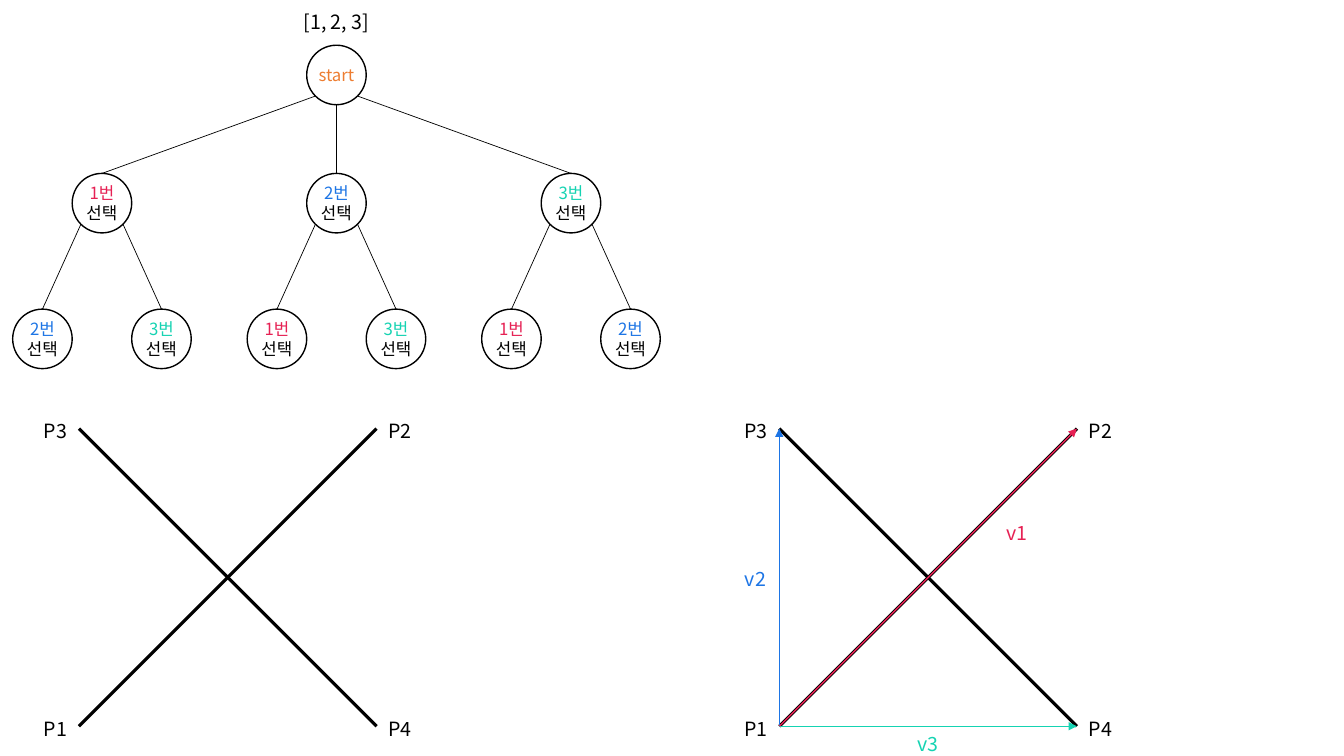
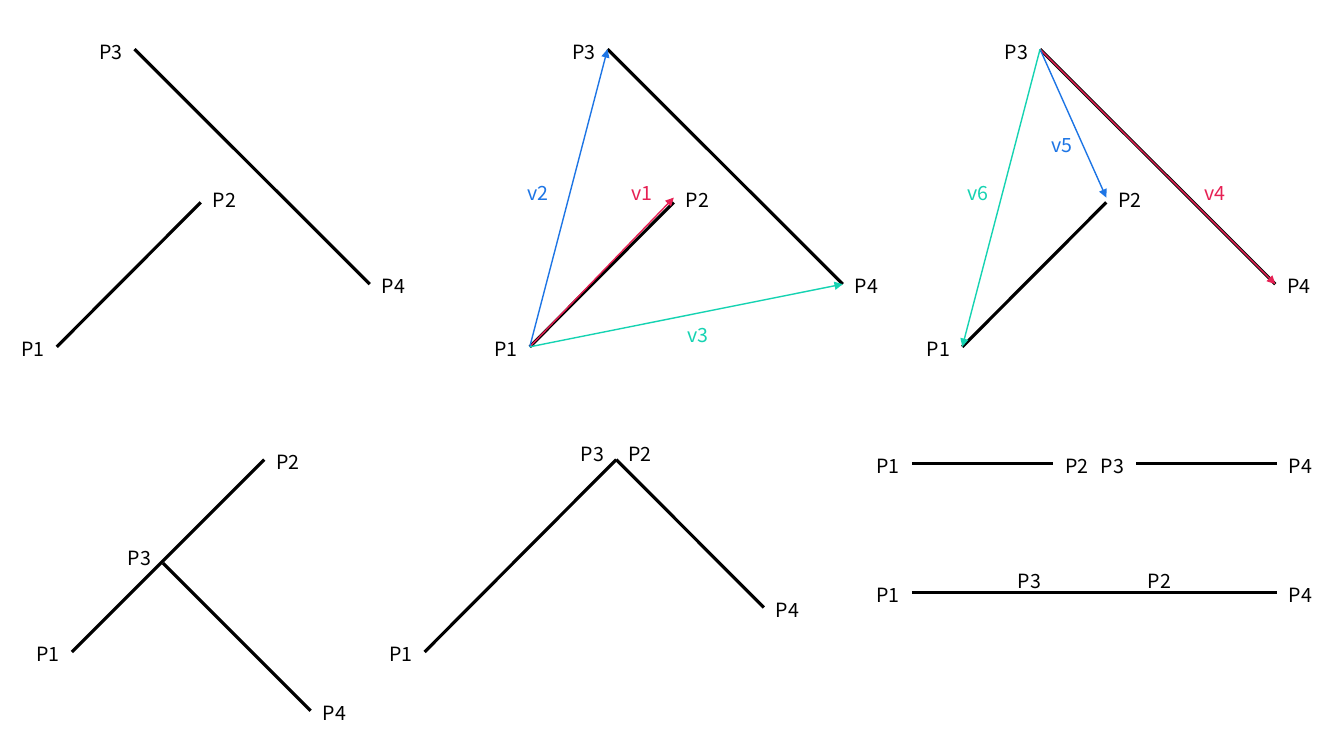
from math import cos, pi
from collections import namedtuple
from lxml.etree import SubElement
from pptx import Presentation
from pptx.dml.color import RGBColor
from pptx.enum.shapes import MSO_CONNECTOR, MSO_SHAPE
from pptx.enum.text import MSO_ANCHOR, PP_ALIGN
from pptx.oxml.ns import qn
from pptx.util import Cm, Pt

COLORS = {
    "black": "000000",
    "orange": "ED7D31",
    "red": "E62154",
    "blue": "1D75E5",
    "teal": "15D3B2",
}
FONT = "Noto Sans CJK KR"
NODE_FRAME = {
    "word_wrap": True,
    "vertical_anchor": MSO_ANCHOR.MIDDLE,
    "margin_left": 0,
    "margin_top": 0,
    "margin_right": 0,
    "margin_bottom": 0,
}
LABEL_FRAME = {"word_wrap": True, "vertical_anchor": MSO_ANCHOR.TOP}
RADIUS = 0.75
LABEL_WIDTH = 1.19
LABEL_HEIGHT = 0.74
CHOICE_COLORS = {1: "red", 2: "blue", 3: "teal"}

Point = namedtuple("Point", "x y side lift", defaults=[0])
Vector = namedtuple("Vector", "name start end color x y")
Node = namedtuple("Node", "shape x y")

CROSS = {
    "P1": Point(1.99, 18.3, -1),
    "P2": Point(9.49, 10.8, 1),
    "P3": Point(1.99, 10.8, -1),
    "P4": Point(9.49, 18.3, 1),
}
SEPARATE = {
    "P1": Point(1.43, 8.74, -1),
    "P2": Point(5.06, 5.1, 1, 0.12),
    "P3": Point(3.39, 1.24, -1),
    "P4": Point(9.32, 7.16, 1),
}
TOUCHING = {
    "P1": Point(1.81, 16.43, -1),
    "P2": Point(6.66, 11.58, 1),
    "P3": Point(4.11, 14.19, -1, 0.19),
    "P4": Point(7.83, 17.91, 1),
}
CORNER = {
    "P1": Point(10.7, 16.43, -1),
    "P2": Point(15.53, 11.58, 1, 0.19),
    "P3": Point(15.53, 11.58, -1, 0.19),
    "P4": Point(19.25, 15.31, 1),
}
APART = {
    "P1": Point(22.98, 11.68, -1),
    "P2": Point(26.54, 11.68, 1),
    "P3": Point(28.63, 11.68, -1),
    "P4": Point(32.18, 11.68, 1),
}
OVERLAPPING = {
    "P1": Point(22.98, 14.94, -1),
    "P2": Point(28.63, 14.94, 1, 0.37),
    "P3": Point(26.54, 14.94, -1, 0.37),
    "P4": Point(32.18, 14.94, 1),
}
CROSS_VECTORS = [
    Vector("v2", "P1", "P3", "blue", 19.04, 14.54),
    Vector("v3", "P1", "P4", "teal", 23.38, 18.68),
    Vector("v1", "P1", "P2", "red", 25.62, 13.37),
]
VECTORS_FROM_P1 = [
    Vector("v1", "P1", "P2", "red", 16.17, 4.81),
    Vector("v2", "P1", "P3", "blue", 13.55, 4.81),
    Vector("v3", "P1", "P4", "teal", 17.59, 8.37),
]
VECTORS_FROM_P3 = [
    Vector("v4", "P3", "P4", "red", 30.62, 4.81),
    Vector("v5", "P3", "P2", "blue", 26.76, 3.59),
    Vector("v6", "P3", "P1", "teal", 24.65, 4.81),
]


def set_attributes(target, values):
    for name, value in values.items():
        setattr(target, name, value)


def rgb(color):
    return RGBColor.from_string(COLORS[color])


def write_text(shape, runs, size, frame_format):
    set_attributes(shape.text_frame, frame_format)
    paragraph = shape.text_frame.paragraphs[0]
    paragraph.alignment = PP_ALIGN.CENTER
    for text, color in runs:
        run = paragraph.add_run()
        run.text = text
        set_attributes(run.font, {"name": FONT, "size": Pt(size)})
        run.font.color.rgb = rgb(color)
        SubElement(run.font._element, qn("a:ea")).set("typeface", FONT)


def add_label(slide, text, x, y, color="black", width=LABEL_WIDTH, height=LABEL_HEIGHT):
    box = slide.shapes.add_textbox(
        Cm(x - width / 2), Cm(y - height / 2), Cm(width), Cm(height)
    )
    write_text(box, [(text, color)], 14, LABEL_FRAME)


def add_line(slide, start, end, width, color="black", arrow=False):
    connector = slide.shapes.add_connector(
        MSO_CONNECTOR.STRAIGHT, *[Cm(value) for value in (*start, *end)]
    )
    connector.line.width = Pt(width)
    connector.line.color.rgb = rgb(color)
    properties = connector._element.spPr
    if arrow:
        SubElement(properties.find(qn("a:ln")), qn("a:tailEnd")).set("type", "triangle")
    SubElement(properties, qn("a:effectLst"))
    return connector


def add_node(slide, x, y, runs):
    shape = slide.shapes.add_shape(
        MSO_SHAPE.OVAL, Cm(x - RADIUS), Cm(y - RADIUS), Cm(2 * RADIUS), Cm(2 * RADIUS)
    )
    shape.shadow.inherit = False
    shape.fill.background()
    shape.line.width = Pt(1)
    shape.line.color.rgb = rgb("black")
    write_text(shape, runs, 12, NODE_FRAME)
    return Node(shape, x, y)


def add_choice(slide, parent, x, y, number):
    node = add_node(
        slide, x, y, [(f"{number}번", CHOICE_COLORS[number]), (" 선택", "black")]
    )
    side = (x > parent.x) - (x < parent.x)
    diagonal = RADIUS * cos(pi / 4)
    drop = diagonal if side else RADIUS
    start = (parent.x + side * diagonal, parent.y + drop)
    branch = add_line(slide, start, (x, y - RADIUS), 0.5)
    branch.end_connect(node.shape, 0)
    return node


def add_choice_tree(slide):
    center = 8.48
    add_label(slide, "[1, 2, 3]", center, 0.56, width=2.49, height=0.86)
    start = add_node(slide, center, 1.89, [("start", "orange")])
    for first in CHOICE_COLORS:
        parent = add_choice(slide, start, center + (first - 2) * 5.91, 5.12, first)
        remaining = [number for number in CHOICE_COLORS if number != first]
        for side, second in zip((-1, 1), remaining):
            add_choice(slide, parent, parent.x + side * 2 * RADIUS, 8.54, second)


def add_segments(slide, points, segments=("P1P2", "P3P4"), shift=0, vectors=()):
    placed = {name: point._replace(x=point.x + shift) for name, point in points.items()}
    for segment in segments:
        start, end = placed[segment[:2]], placed[segment[2:]]
        add_line(slide, (start.x, start.y), (end.x, end.y), 2.25)
    anchors = {name: (point.x, point.y - point.lift) for name, point in placed.items()}
    for name, (x, y) in anchors.items():
        add_label(slide, name, x + placed[name].side * LABEL_WIDTH / 2, y)
    for vector in vectors:
        add_line(
            slide, anchors[vector.start], anchors[vector.end], 1, vector.color, arrow=True
        )
        add_label(slide, vector.name, vector.x, vector.y, vector.color)


def main():
    presentation = Presentation()
    set_attributes(presentation, {"slide_width": Cm(33.87), "slide_height": Cm(19.05)})
    blank = presentation.slide_layouts[6]

    slide = presentation.slides.add_slide(blank)
    add_choice_tree(slide)
    add_segments(slide, CROSS)
    add_segments(slide, CROSS, shift=17.65, vectors=CROSS_VECTORS)

    slide = presentation.slides.add_slide(blank)
    add_segments(slide, SEPARATE)
    add_segments(slide, SEPARATE, shift=11.92, vectors=VECTORS_FROM_P1)
    add_segments(slide, SEPARATE, shift=22.82, vectors=VECTORS_FROM_P3)
    for points in (TOUCHING, CORNER, APART):
        add_segments(slide, points)
    add_segments(slide, OVERLAPPING, segments=["P1P4"])

    presentation.save("out.pptx")


if __name__ == "__main__":
    main()
